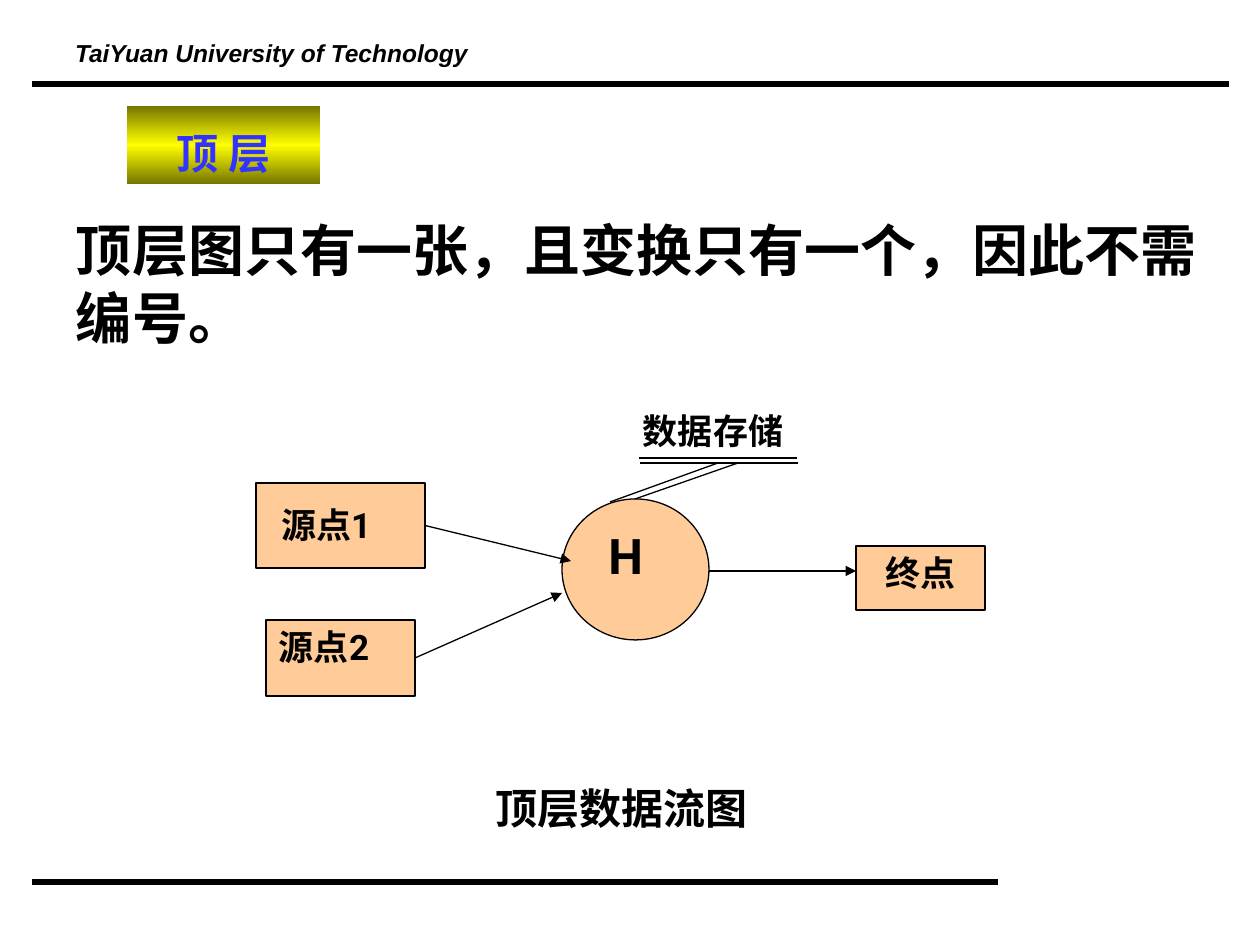
from copy import deepcopy

from lxml import etree
from pptx import Presentation
from pptx.dml.color import RGBColor
from pptx.enum.shapes import MSO_CONNECTOR, MSO_SHAPE
from pptx.enum.text import MSO_ANCHOR, MSO_AUTO_SIZE, PP_ALIGN
from pptx.oxml.ns import qn
from pptx.util import Emu, Pt

PIXEL = 914400 / 126
BLACK = RGBColor(0x00, 0x00, 0x00)
WHITE = RGBColor(0xFF, 0xFF, 0xFF)
PEACH = RGBColor(0xFF, 0xCC, 0x99)
OLIVE = RGBColor(0x76, 0x76, 0x00)
YELLOW = RGBColor(0xFF, 0xFF, 0x00)
BLUE = RGBColor(0x33, 0x33, 0xFF)
HEADING_FONT = "Arial"
LABEL_FONT = "Roboto"
CHINESE_FONT = "Noto Sans CJK SC"
LEFT, CENTER = PP_ALIGN.LEFT, PP_ALIGN.CENTER
TOP = MSO_ANCHOR.TOP
NO_FIT = MSO_AUTO_SIZE.NONE
STRAIGHT = MSO_CONNECTOR.STRAIGHT
PROCESS, OVAL = MSO_SHAPE.FLOWCHART_PROCESS, MSO_SHAPE.OVAL
RIGHT_SIDE = 3


def px(length):
    return Emu(round(length * PIXEL))


def write_text(shape, text, size=20, font=LABEL_FONT, color=BLACK, italic=False,
               align=LEFT, spacing=1.0, wrap=True, inset_left=13, inset_top=6):
    frame = shape.text_frame
    frame.auto_size = NO_FIT
    frame.word_wrap = wrap
    frame.vertical_anchor = TOP
    frame.margin_left, frame.margin_top = px(inset_left), px(inset_top)
    frame.margin_right, frame.margin_bottom = px(13), px(6)
    paragraph = frame.paragraphs[0]
    paragraph.alignment = align
    paragraph.line_spacing = spacing
    paragraph.space_before = Pt(0)
    run = paragraph.add_run()
    run.text = text
    run.font.size = Pt(size)
    run.font.bold = True
    run.font.italic = italic
    run.font.color.rgb = color
    run.font.name = font
    east_asian = etree.SubElement(run._r.get_or_add_rPr(), qn("a:ea"))
    east_asian.set("typeface", CHINESE_FONT)


class SlideBuilder:
    def __init__(self, slide):
        self.slide = slide
        self.fill_color = PEACH
        self.line_color = BLACK
        self.line_width = 0.75
        slide.background.fill.solid()
        slide.background.fill.fore_color.rgb = WHITE

    def place(self, shape, left, top, width, height):
        shape.left, shape.top = px(left), px(top)
        shape.width, shape.height = px(width), px(height)

    def title(self, text, *bounds):
        shape = self.slide.shapes.title
        self.place(shape, *bounds)
        shape.fill.gradient()
        shape.fill.gradient_angle = 90
        first = shape.fill.gradient_stops[0]._gs
        first.addnext(deepcopy(first))
        stops = zip(shape.fill.gradient_stops, (OLIVE, YELLOW, OLIVE), (0, 0.5, 1))
        for stop, color, position in stops:
            stop.color.rgb = color
            stop.position = position
        write_text(shape, text, size=24, color=BLUE, align=CENTER, spacing=1.3)

    def body(self, text, *bounds):
        shape = self.slide.placeholders[1]
        self.place(shape, *bounds)
        properties = shape.text_frame.paragraphs[0]._p.get_or_add_pPr()
        properties.set("marL", "0")
        properties.set("indent", "0")
        etree.SubElement(properties, qn("a:buNone"))
        write_text(shape, text, size=32, font=CHINESE_FONT)

    def label(self, text, *bounds, **style):
        shape = self.slide.shapes.add_textbox(*map(px, bounds))
        write_text(shape, text, **style)

    def node(self, kind, text, *bounds, **style):
        shape = self.slide.shapes.add_shape(kind, *map(px, bounds))
        shape.shadow.inherit = False
        shape.fill.solid()
        shape.fill.fore_color.rgb = self.fill_color
        shape.line.color.rgb = self.line_color
        shape.line.width = Pt(self.line_width)
        write_text(shape, text, **style)
        return shape

    def line(self, *ends, width=None, arrow=False, source=None):
        connector = self.slide.shapes.add_connector(STRAIGHT, *map(px, ends))
        if source is not None:
            connector.begin_connect(source, RIGHT_SIDE)
        connector.line.color.rgb = self.line_color
        connector.line.width = Pt(width or self.line_width)
        if arrow:
            outline = connector.line._get_or_add_ln()
            etree.SubElement(outline, qn("a:tailEnd"), type="triangle")
        etree.SubElement(connector._element.spPr, qn("a:effectLst"))


def main():
    presentation = Presentation()
    presentation.slide_width, presentation.slide_height = px(1260), px(945)
    slide = presentation.slides.add_slide(presentation.slide_layouts[1])
    builder = SlideBuilder(slide)

    builder.line(32, 882, 998, 882, width=3)
    builder.line(32, 84, 1229, 84, width=3)
    builder.label("TaiYuan University of Technology", 62, 40, 421, 34, size=14,
                  font=HEADING_FONT, italic=True, spacing=0.7, wrap=False)
    builder.title("顶 层", 127, 106, 193, 78)
    builder.body("顶层图只有一张，且变换只有一个，因此不需编号。", 63, 210, 1197, 147)

    builder.node(OVAL, "H", 562, 499, 147, 141, size=28, inset_left=25)
    first_source = builder.node(PROCESS, "源点1", 256, 483, 169, 85,
                                inset_left=25, inset_top=20)
    second_source = builder.node(PROCESS, "源点2", 266, 620, 149, 76)
    builder.node(PROCESS, "终点", 856, 546, 129, 64, align=CENTER)

    builder.line(425, 525, 571, 561, arrow=True, source=first_source)
    builder.line(415, 658, 562, 593, arrow=True, source=second_source)
    builder.line(709, 571, 856, 571, arrow=True)

    builder.line(635, 499, 738, 463)
    builder.line(610, 502, 718, 463)
    builder.line(640, 463, 798, 463)
    builder.line(639, 458, 797, 458)
    builder.label("数据存储", 630, 403, 178, 55)
    builder.label("顶层数据流图", 483, 777, 431, 63, size=24)

    presentation.save("out.pptx")


if __name__ == "__main__":
    main()
